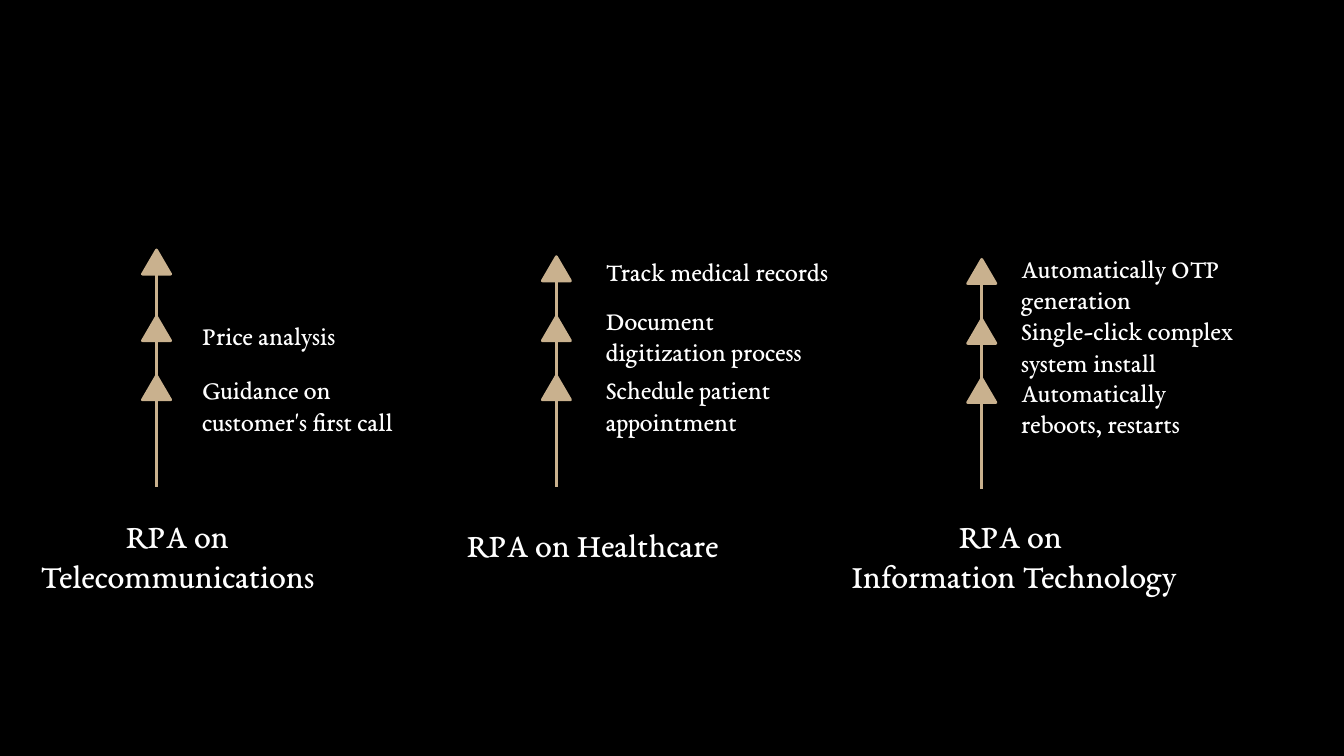
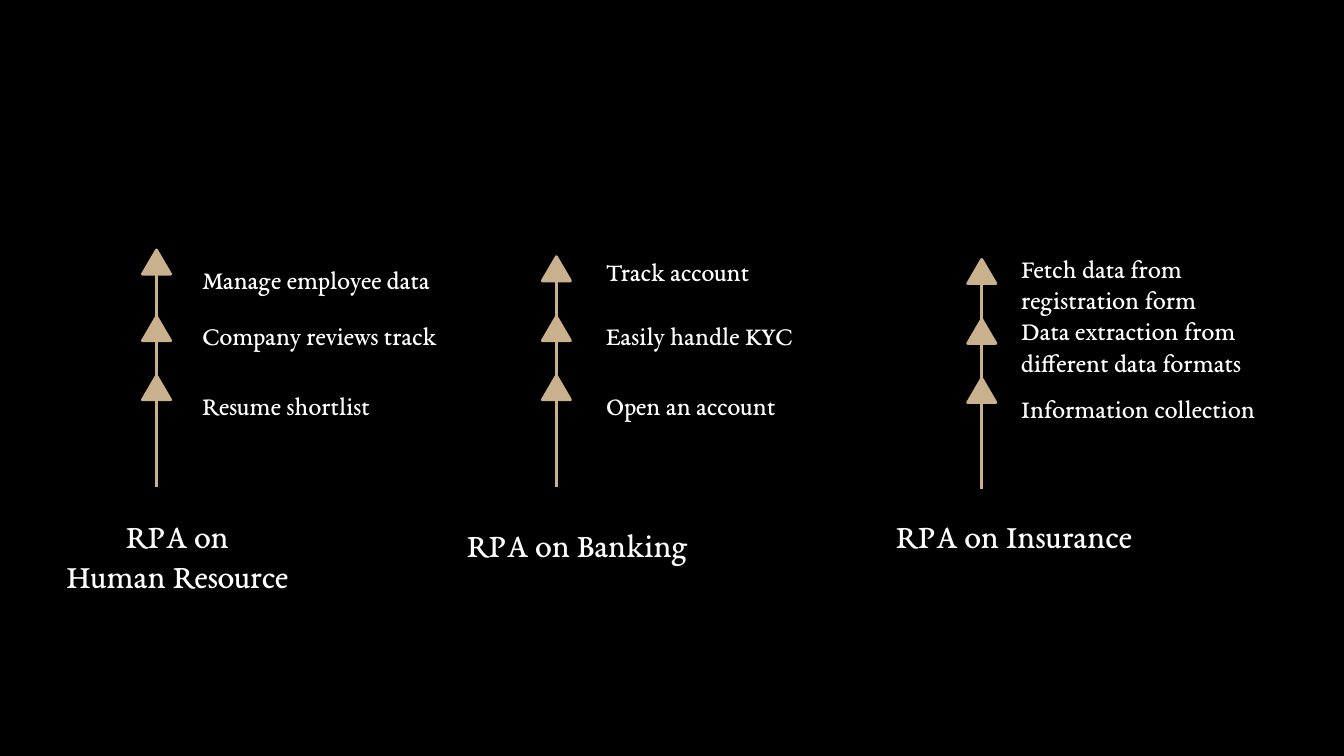
"""Build two slides of RPA uses by industry, each with three upward arrows."""
from lxml.etree import SubElement
from pptx import Presentation
from pptx.dml.color import RGBColor
from pptx.enum.shapes import MSO_CONNECTOR, MSO_SHAPE
from pptx.enum.text import MSO_ANCHOR, MSO_AUTO_SIZE, PP_ALIGN
from pptx.oxml.ns import qn
from pptx.util import Emu, Pt

BLACK = RGBColor(0x00, 0x00, 0x00)
WHITE = RGBColor(0xFF, 0xFF, 0xFF)
GOLD = RGBColor(0xC9, 0xB1, 0x8E)
FONT = "EB Garamond"
PX = 4572
LINE_WIDTH = Pt(1.5)
ARROW_W, ARROW_H = 42, 36

COLUMNS = [
    dict(axis=233, foot=725, arrows=(372, 471, 559), label_x=281,
         label_tops=(372, 455, 559), label_heights=(88, 88, 88),
         heading=(29, 746, 470), align=PP_ALIGN.CENTER),
    dict(axis=828, foot=725, arrows=(382, 471, 559), label_x=882,
         label_tops=(371, 455, 559), label_heights=(66, 88, 88),
         heading=(675, 760, 470), align=PP_ALIGN.JUSTIFY),
    dict(axis=1461, foot=728, arrows=(386, 475, 563), label_x=1500,
         label_tops=(378, 471, 563), label_heights=(88, 88, 88),
         heading=(1229, 746, 560), align=PP_ALIGN.CENTER),
]

SLIDES = [
    [
        (["RPA on", "Telecommunications"],
         [None, ("Price analysis", 348), ("Guidance on customer's first call", 348)]),
        (["RPA on Healthcare"],
         [("Track medical records", 380), ("Document digitization process", 348),
          ("Schedule patient appointment", 348)]),
        (["RPA on ", "Information Technology"],
         [("Automatically OTP generation", 394), ("Single-click complex system install", 394),
          ("Automatically reboots, restarts", 348)]),
    ],
    [
        (["RPA on", "Human Resource"],
         [("Manage employee data", 408), ("Company reviews track", 408),
          ("Resume shortlist", 348)]),
        (["RPA on Banking"],
         [("Track account", 380), ("Easily handle KYC", 348), ("Open an account", 348)]),
        (["RPA on Insurance"],
         [("Fetch data from registration form", 394),
          ("Data extraction from different data formats", 394),
          ("Information collection", 394)]),
    ],
]


def px(*lengths):
    return [Emu(n * PX) for n in lengths]


def write(sp, lines, size, align, anchor):
    tf = sp.text_frame
    tf.word_wrap = True
    tf.vertical_anchor = anchor
    tf.margin_left, tf.margin_top, tf.margin_right, tf.margin_bottom = px(20, 20, 20, 20)
    tf.text = "\n".join(lines)
    for p in tf.paragraphs:
        p.alignment = align
        for r in p.runs:
            r.font.name = FONT
            r.font.size = Pt(size)
            r.font.color.rgb = WHITE


def add_stem(s, x, top, foot):
    line = s.shapes.add_connector(MSO_CONNECTOR.STRAIGHT, *px(x, top, x, foot))
    line.line.color.rgb = GOLD
    line.line.width = LINE_WIDTH
    SubElement(line._element.spPr, qn("a:effectLst"))


def add_arrow(s, x, top):
    sp = s.shapes.add_shape(MSO_SHAPE.ISOSCELES_TRIANGLE,
                            *px(x - ARROW_W // 2, top, ARROW_W, ARROW_H))
    sp.shadow.inherit = False
    sp.fill.solid()
    sp.fill.fore_color.rgb = GOLD
    sp.line.color.rgb = GOLD
    sp.line.width = LINE_WIDTH
    SubElement(sp.line._get_or_add_ln(), qn("a:round"))


def add_label(s, text, x, top, width, height):
    sp = s.shapes.add_shape(MSO_SHAPE.ROUNDED_RECTANGLE, *px(x, top, width, height))
    sp.adjustments[0] = 0
    sp.shadow.inherit = False
    sp.fill.background()
    sp.line.fill.background()
    write(sp, [text], 14, PP_ALIGN.LEFT, MSO_ANCHOR.MIDDLE)


def add_heading(s, lines, place, align):
    height = 100 + 62 * (len(lines) - 1)
    sp = s.shapes.add_textbox(*px(*place, height))
    write(sp, lines, 18, align, MSO_ANCHOR.TOP)
    sp.text_frame.auto_size = MSO_AUTO_SIZE.SHAPE_TO_FIT_TEXT


def add_column(s, col, heading, labels):
    add_stem(s, col["axis"], col["arrows"][0] + ARROW_H // 2, col["foot"])
    for top in col["arrows"]:
        add_arrow(s, col["axis"], top)
    for label, top, height in zip(labels, col["label_tops"], col["label_heights"]):
        if label:
            text, width = label
            add_label(s, text, col["label_x"], top, width, height)
    add_heading(s, heading, col["heading"], col["align"])


def main():
    prs = Presentation()
    prs.slide_width, prs.slide_height = px(2000, 1125)
    for content in SLIDES:
        s = prs.slides.add_slide(prs.slide_layouts[6])
        s.background.fill.solid()
        s.background.fill.fore_color.rgb = BLACK
        for col, (heading, labels) in zip(COLUMNS, content):
            add_column(s, col, heading, labels)
    prs.save("out.pptx")


if __name__ == "__main__":
    main()
